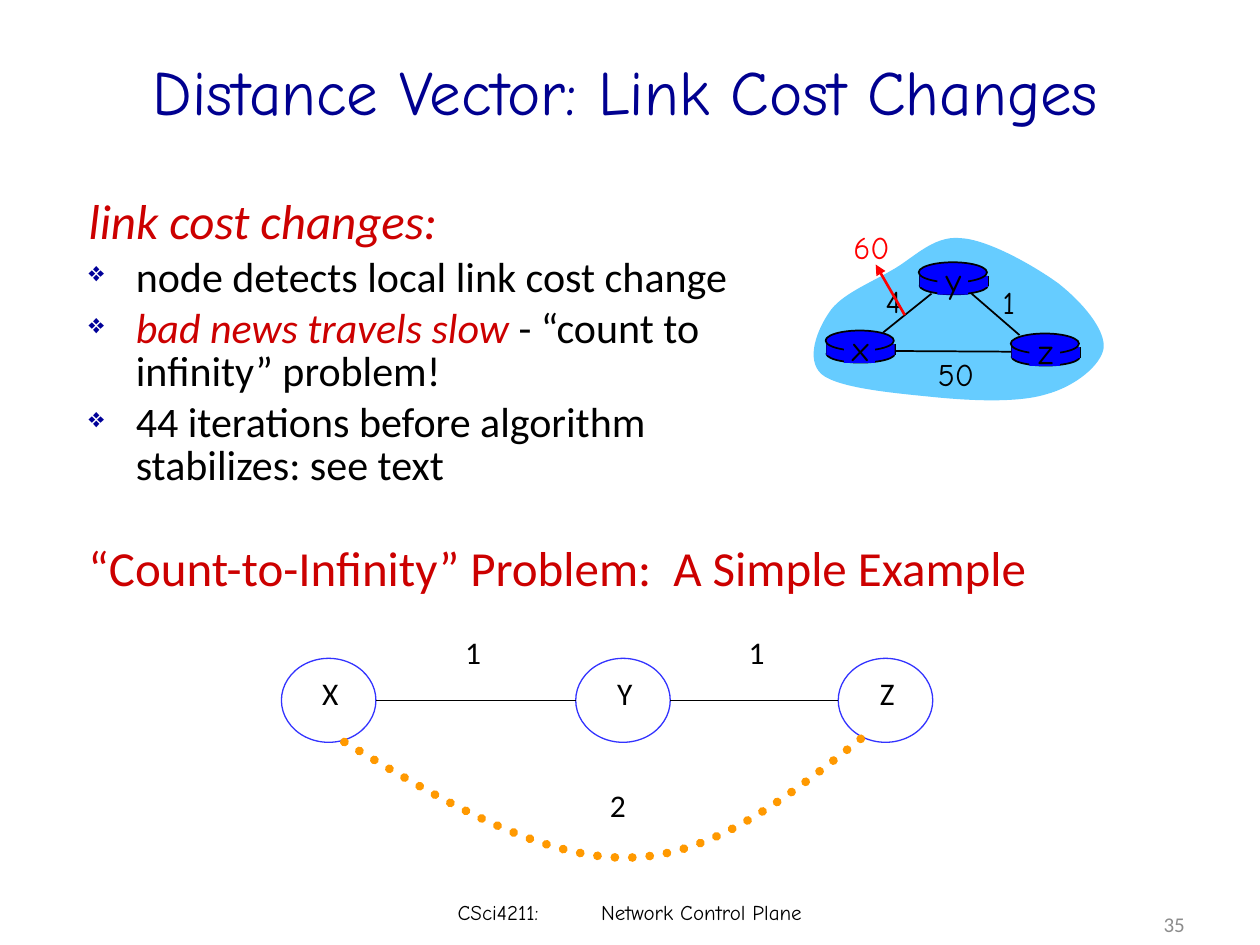
from lxml.etree import SubElement
from pptx import Presentation
from pptx.dml.color import RGBColor
from pptx.enum.dml import MSO_LINE
from pptx.enum.shapes import MSO_CONNECTOR, MSO_SHAPE
from pptx.enum.text import MSO_ANCHOR, MSO_AUTO_SIZE, PP_ALIGN
from pptx.oxml.ns import qn
from pptx.util import Pt

BODY, HAND = "Calibri", "Comic Neue"
BLACK, RED, BLUE = "000000", "CC0000", "0000FF"


def color(hex_value):
    return RGBColor.from_string(hex_value)


def assign(target, values):
    for key, value in values.items():
        setattr(target, key, value)


def add_xml(parent, tag, **attributes):
    return SubElement(parent, qn(tag), attributes)


def add_run(paragraph, words, size, font, ink, italic=False):
    run = paragraph.add_run()
    run.text = words
    assign(run.font, {"size": Pt(size), "name": font, "italic": italic})
    run.font.color.rgb = color(ink)


def add_frame(slide, box, **settings):
    frame = slide.shapes.add_textbox(*map(Pt, box)).text_frame
    assign(frame, {"word_wrap": True, **settings})
    return frame


def add_line_of_text(slide, box, words, size, font, ink, align=PP_ALIGN.CENTER):
    paragraph = add_frame(slide, box, vertical_anchor=MSO_ANCHOR.MIDDLE).paragraphs[0]
    paragraph.alignment = align
    add_run(paragraph, words, size, font, ink)
    return paragraph


def add_label(slide, center, top, words, size, font, ink=BLACK):
    width = 14.4 + 11.2 * len(words)
    height = 36 if font == BODY else size * 1.2 + 7.2
    frame = add_frame(slide, (center - width / 2, top, width, height),
                      word_wrap=False, auto_size=MSO_AUTO_SIZE.SHAPE_TO_FIT_TEXT)
    frame.paragraphs[0].alignment = PP_ALIGN.CENTER
    add_run(frame.paragraphs[0], words, size, font, ink)


def paint(shape, fill=None, line=None, width=1):
    shape.shadow.inherit = False
    if fill:
        shape.fill.solid()
        shape.fill.fore_color.rgb = color(fill)
    else:
        shape.fill.background()
    if line:
        shape.line.color.rgb = color(line)
        shape.line.width = Pt(width)
    else:
        shape.line.fill.background()


def add_figure(slide, kind, box, **look):
    paint(slide.shapes.add_shape(kind, *map(Pt, box)), **look)


def add_link(slide, x1, y1, x2, y2, ink=BLACK, width=1, arrow=False):
    link = slide.shapes.add_connector(MSO_CONNECTOR.STRAIGHT, *map(Pt, (x1, y1, x2, y2)))
    link.line.color.rgb = color(ink)
    link.line.width = Pt(width)
    if arrow:
        add_xml(link.line._get_or_add_ln(), "a:tailEnd", type="triangle")
    add_xml(link._element.spPr, "a:effectLst")


def add_curve(slide, left, top, points, close):
    start, *controls = [(Pt(left + x), Pt(top + y)) for x, y in points]
    builder = slide.shapes.build_freeform(*start)
    builder.add_line_segments(controls, close=close)
    curve = builder.convert_to_shape()
    segments = list(curve._element.iter(qn("a:lnTo")))
    for first, second, third in zip(*[iter(segments)] * 3):
        first.tag = qn("a:cubicBezTo")
        for segment in (second, third):
            first.append(segment[0])
            segment.getparent().remove(segment)
    return curve


def add_points(slide, box, paragraphs):
    frame = add_frame(slide, box)
    for index, (bulleted, runs) in enumerate(paragraphs):
        paragraph = frame.add_paragraph() if index else frame.paragraphs[0]
        size = 24 if bulleted else 28
        assign(paragraph, {"line_spacing": 0.85, "space_before": Pt(size * 0.2)})
        properties = paragraph._p.get_or_add_pPr()
        properties.set("marL", str(Pt(27)))
        properties.set("indent", str(Pt(-27)))
        if bulleted:
            add_xml(add_xml(properties, "a:buClr"), "a:srgbClr", val="000099")
            add_xml(properties, "a:buSzPct", val="65000")
            add_xml(properties, "a:buChar", char="❖")
        for words, ink, italic in runs:
            add_run(paragraph, words, size, BODY, ink, italic)


def add_router(slide, left, top, name):
    add_figure(slide, MSO_SHAPE.OVAL, (left + 0.5, top + 8.3, 39, 10), fill=BLUE, line=BLACK)
    for side in (left + 0.5, left + 39.5):
        add_link(slide, side, top + 7.8, side, top + 13.8)
    add_figure(slide, MSO_SHAPE.RECTANGLE, (left + 0.5, top + 7.8, 39, 6.3), fill=BLUE)
    add_figure(slide, MSO_SHAPE.OVAL, (left, top, 39, 11.5), fill=BLUE, line=BLACK)
    add_figure(slide, MSO_SHAPE.RECTANGLE, (left + 10.6, top + 2, 17.5, 16.5), fill=BLUE)
    add_label(slide, left + 19.9, top - 6, name, 20, HAND)


def add_router_network(slide, left, top):
    cloud = [
        (13.8, 44.6), (20.2, 34.5), (36.8, 28), (49, 20.8),
        (61.3, 14.3), (72.8, 0.6), (88.6, 2.1),
        (104.5, 2.8), (131, 18), (144.8, 28),
        (158.5, 38.8), (171.4, 54), (170.7, 64.7),
        (169.3, 74.8), (154.2, 87), (137.6, 91.4),
        (121, 96.4), (93.7, 95), (72, 92.8),
        (50.5, 90.6), (18.8, 87.8), (9.4, 79.8),
        (0, 71.2), (7.3, 54), (13.8, 44.6),
    ]
    paint(add_curve(slide, left, top, cloud, close=True), fill="66CCFF")
    for x1, y1, x2, y2 in ((44.7, 56, 72.3, 33.8), (95.2, 33.8, 122.6, 57.5),
                           (52, 66.6, 119.6, 67)):
        add_link(slide, left + x1, top + y1, left + x2, top + y2)
    for x, y, name in ((11.8, 54.9, "x"), (65, 15.9, "y"), (117.6, 56.6, "z")):
        add_router(slide, left + x, top + y, name)
    for x, y, cost, ink in ((116.5, 24.2, "1", BLACK), (50.4, 23.8, "4", BLACK),
                            (86.3, 65.4, "50", BLACK), (38, -7.2, "60", "FF0000")):
        add_label(slide, left + x, top + y, cost, 18, HAND, ink)
    add_link(slide, left + 57, top + 46, left + 40.4, top + 17.2, "FF0000", 1.5, arrow=True)


def add_chain_example(slide, left, top):
    width, height = 54, 48
    nodes = {"X": 0, "Y": 168.2, "Z": 318.2}
    for name, x in nodes.items():
        add_figure(slide, MSO_SHAPE.OVAL, (left + x, top, width, height),
                   line="3333FF", width=0.75)
        add_label(slide, left + x + width / 2 + 1, top + 5.7, name, 18, BODY)
    offsets = list(nodes.values())
    for start, end in zip(offsets, offsets[1:]):
        add_link(slide, left + start + width, top + height / 2,
                 left + end, top + height / 2, width=0.75)
    detour = [(36, 47.8), (92, 81.5), (148.2, 114.7), (198, 113.9),
              (248.3, 113.2), (292.2, 77.2), (336.2, 41.9)]
    route = add_curve(slide, left, top, detour, close=False)
    paint(route, line="FF9900", width=5)
    route.line.dash_style = MSO_LINE.ROUND_DOT
    route.line._get_or_add_ln().set("cap", "rnd")
    for x, y, cost in ((109.5, -18.2, "1"), (271.5, -18.2, "1"), (192.2, 69.2, "2")):
        add_label(slide, left + x, top + y, cost, 18, BODY)


def add_footer(slide, left, top):
    course = add_line_of_text(slide, (left, top, 228, 29), "CSci4211:\tNetwork Control Plane",
                              12, HAND, BLACK, PP_ALIGN.LEFT)
    tabs = add_xml(course._p.get_or_add_pPr(), "a:tabLst")
    add_xml(tabs, "a:tab", pos=str(Pt(82)), algn="l")
    add_line_of_text(slide, (left + 261.7, top + 6.7, 168, 29), "35",
                     12, BODY, "8C8C8C", PP_ALIGN.RIGHT)


def main():
    deck = Presentation()
    assign(deck, {"slide_width": Pt(720), "slide_height": Pt(540)})
    slide = deck.slides.add_slide(deck.slide_layouts[6])
    add_points(slide, (43.5, 110.4, 383, 199), [
        (False, [("link cost changes:", RED, True)]),
        (True, [("node detects local link cost change", BLACK, False)]),
        (True, [("bad news travels slow", RED, True),
                (" - “count to infinity” problem!", BLACK, False)]),
        (True, [("44 iterations before algorithm stabilizes: see text", BLACK, False)]),
    ])
    add_router_network(slide, 460, 134)
    add_points(slide, (43.5, 309, 568, 43), [
        (False, [("“Count-to-Infinity” Problem:  A Simple Example", RED, False)]),
    ])
    add_chain_example(slide, 160.8, 376.2)
    add_footer(slide, 254.4, 506.8)
    add_line_of_text(slide, (3.5, 12, 708, 79), "Distance Vector: Link Cost Changes",
                     36, HAND, "000090")
    deck.save("out.pptx")


if __name__ == "__main__":
    main()
